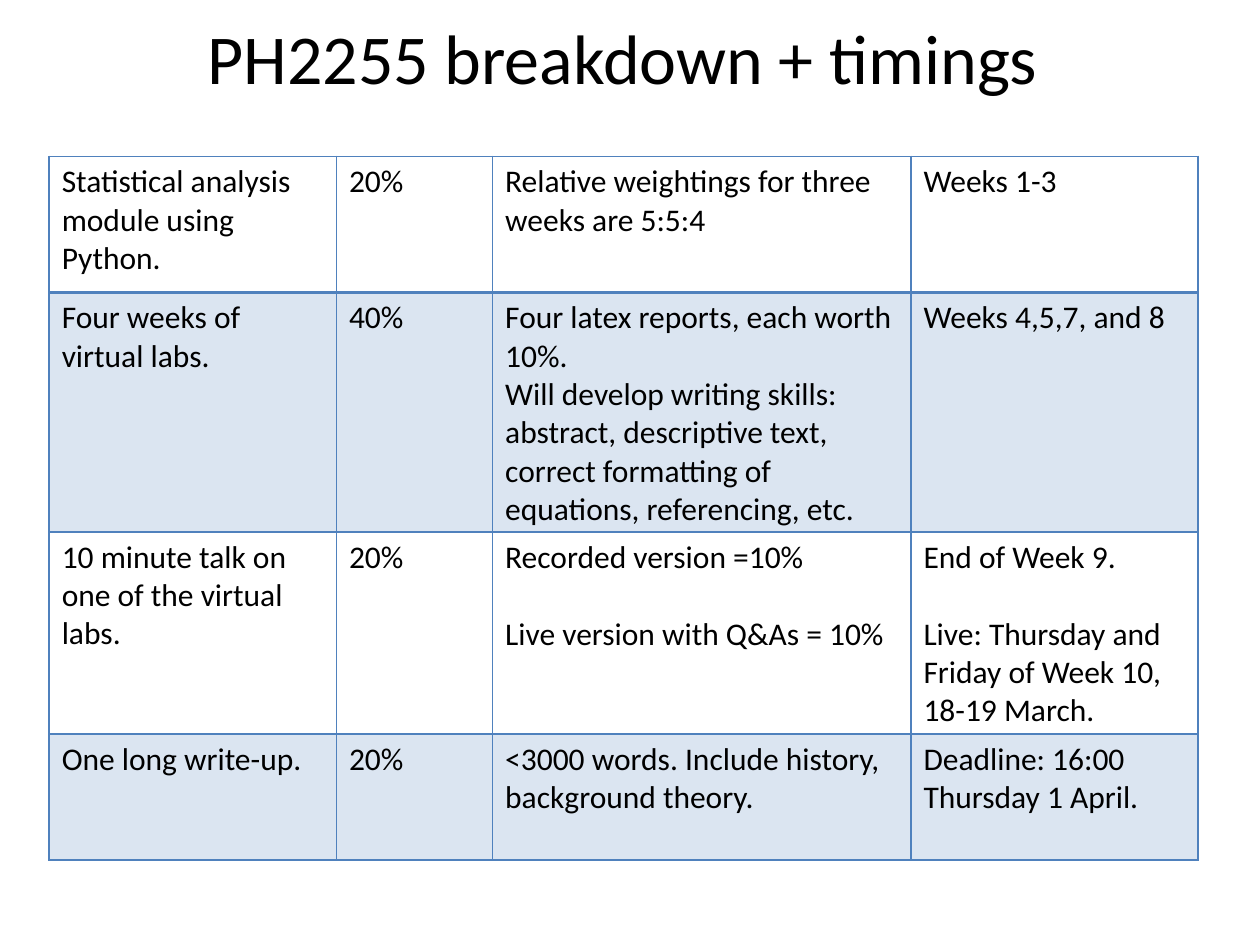
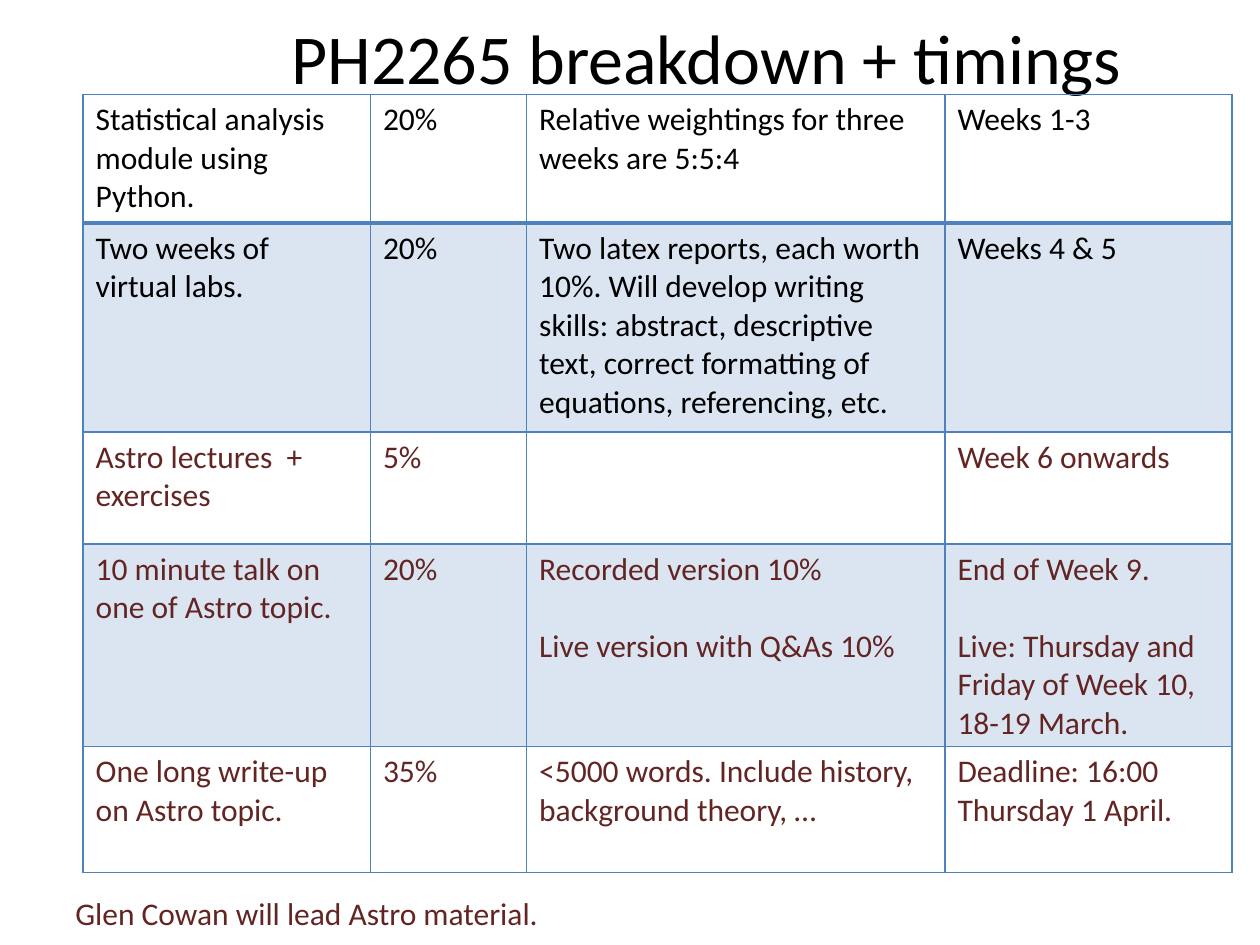
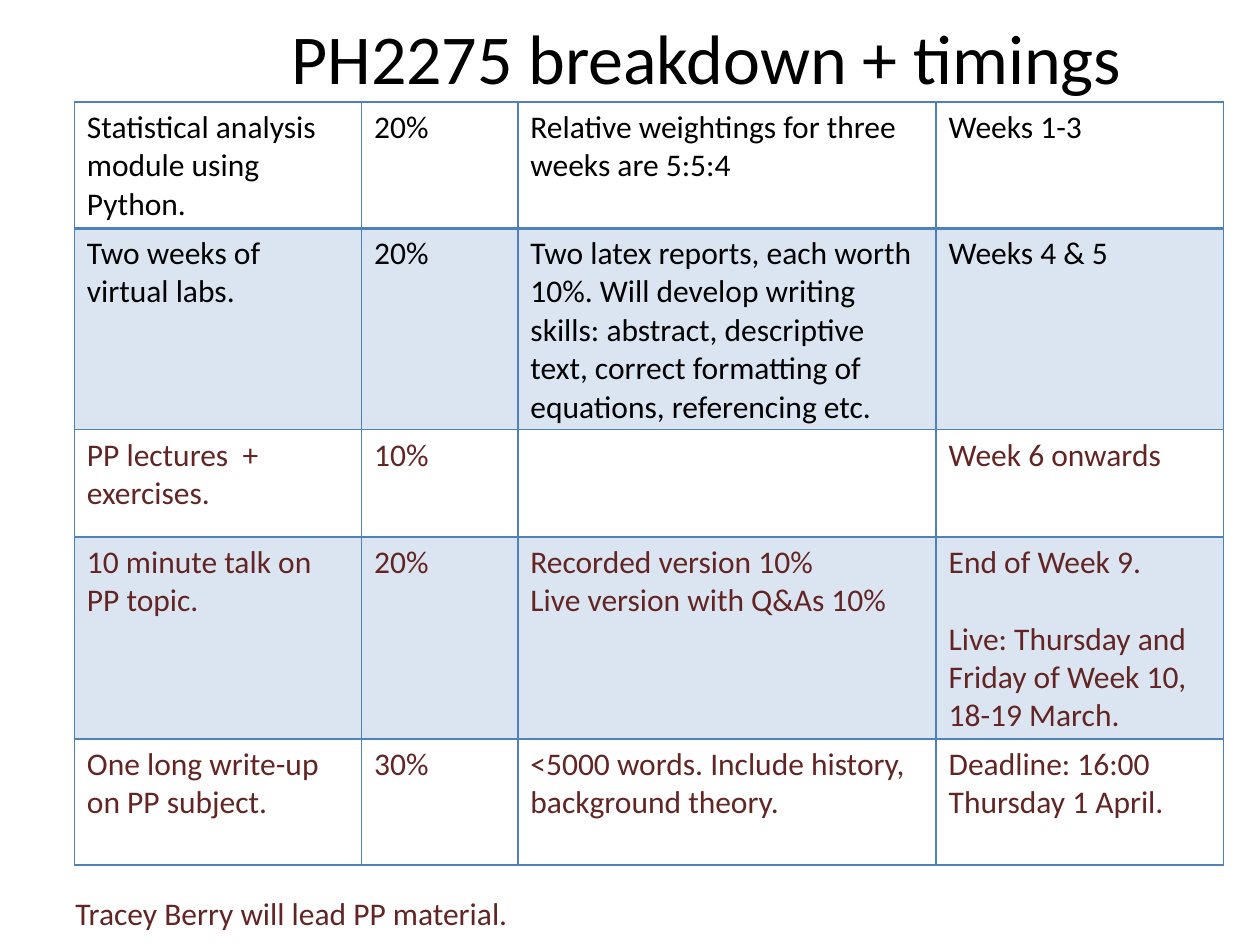
from lxml.etree import SubElement as Sub
from pptx import Presentation as Deck
from pptx.dml.color import RGBColor as RGB
from pptx.enum.text import MSO_AUTO_SIZE as Fit, PP_ALIGN as Align
from pptx.oxml.ns import qn
from pptx.util import Inches, Pt

FONT = "Calibri"
BLACK = RGB(0, 0, 0)
MAROON = RGB(0x63, 0x25, 0x23)
BLUE = RGB(0x4F, 0x81, 0xBD)
ALPHA = "20000"
TITLE = 40
BODY = 18
GAP = 22
THIN, THICK = 1, 2
COLS = (2.28, 1.24, 3.32, 2.28)

STATS = ("Statistical analysis\nmodule using Python.", "20%",
         "Relative weightings for three weeks are 5:5:4", "Weeks 1-3")
SKILLS = ("Will develop writing skills: abstract, descriptive text, "
          "correct formatting of equations, referencing")
LIVE = ("End of Week 9.\n\n"
        "Live: Thursday and Friday of Week 10, 18-19 March.")
DUE = "Deadline: 16:00 Thursday 1 April."

LABS = (
    STATS,
    ("Four weeks of virtual labs.", "40%",
     f"Four latex reports, each worth 10%.\n{SKILLS}, etc.",
     "Weeks 4,5,7, and 8"),
    ("10 minute talk on one of the virtual labs.", "20%",
     "Recorded version =10%\n\nLive version with Q&As = 10%", LIVE),
    ("One long write-up.", "20%",
     "<3000 words. Include history, background theory.", DUE),
)
ASTRO = (
    STATS,
    ("Two weeks of virtual labs.", "20%",
     f"Two latex reports, each worth 10%. {SKILLS}, etc.", "Weeks 4 & 5"),
    ("Astro lectures  + exercises", "5%", "", "Week 6 onwards"),
    ("10 minute talk on one of Astro topic.", "20%",
     "Recorded version 10%\n\nLive version with Q&As 10%", LIVE),
    ("One long write-up on Astro topic.", "35%",
     "<5000 words. Include history, background theory, …", DUE),
)
QUARK = (
    STATS,
    ("Two weeks of virtual labs.", "20%",
     f"Two latex reports, each worth 10%. {SKILLS} etc.", "Weeks 4 & 5"),
    ("PP lectures  + exercises.", "10%", "", "Week 6 onwards"),
    ("10 minute talk on PP topic.", "20%",
     "Recorded version 10%\nLive version with Q&As 10%", LIVE),
    ("One long write-up on PP subject.", "30%",
     "<5000 words. Include history, background theory.", DUE),
)


def style(par, size, color, align=Align.LEFT):
    par.alignment = align
    par.font.name = FONT
    par.font.size = Pt(size)
    par.font.color.rgb = color


def label(slide, text, box, size, color, align=Align.LEFT):
    frame = slide.shapes.add_textbox(*map(Inches, box)).text_frame
    frame.word_wrap = True
    frame.auto_size = Fit.SHAPE_TO_FIT_TEXT
    frame.text = text
    style(frame.paragraphs[0], size, color, align)


def title(slide, code, left, width):
    label(slide, f"{code} breakdown + timings ", (left, 0.07, width, 0.77),
          TITLE, BLACK, Align.CENTER)


def footer(slide, text):
    label(slide, text, (0.5, 7.05, 9, 0.4), BODY, MAROON)


def write(cell, text, color):
    frame = cell.text_frame
    frame.text = text.replace("\n\n", "\n")
    for par in frame.paragraphs:
        style(par, BODY, color)
    if "\n\n" in text:
        frame.paragraphs[1].space_before = Pt(GAP)


def border(cell, row):
    props = cell._tc.get_or_add_tcPr()
    widths = {
        "a:lnL": THIN,
        "a:lnR": THIN,
        "a:lnT": THICK if row == 1 else THIN,
        "a:lnB": THICK if row == 0 else THIN,
    }
    for tag, width in widths.items():
        line = Sub(props, qn(tag), w=str(Pt(width)))
        fill = Sub(line, qn("a:solidFill"))
        Sub(fill, qn("a:srgbClr"), val=str(BLUE))


def shade(cell, row):
    if row % 2 == 0:
        cell.fill.background()
        return
    cell.fill.solid()
    cell.fill.fore_color.rgb = BLUE
    tone = cell._tc.tcPr.find(qn("a:solidFill")).find(qn("a:srgbClr"))
    Sub(tone, qn("a:alpha"), val=ALPHA)


def grid(slide, left, top, highs, rows, shared):
    box = (left, top, sum(COLS), sum(highs))
    table = slide.shapes.add_table(
        len(rows), len(COLS), *map(Inches, box)).table
    table.first_row = False
    table.horz_banding = False
    for col, width in zip(table.columns, COLS):
        col.width = Inches(width)
    for row, texts in enumerate(rows):
        table.rows[row].height = Inches(highs[row])
        color = BLACK if row < shared else MAROON
        for col, text in enumerate(texts):
            cell = table.cell(row, col)
            write(cell, text, color)
            border(cell, row)
            shade(cell, row)


def main():
    deck = Deck()
    deck.slide_width, deck.slide_height = Inches(10), Inches(7.5)
    blank = deck.slide_layouts[6]

    slide = deck.slides.add_slide(blank)
    title(slide, "PH2255", 1.02, 7.97)
    grid(slide, 0.39, 1.24, (1.08, 1.9, 1.6, 1), LABS, shared=4)

    slide = deck.slides.add_slide(blank)
    title(slide, "PH2265", 2.01, 7.32)
    grid(slide, 0.66, 0.75, (1.02, 1.66, 0.89, 1.6, 1), ASTRO, shared=2)
    footer(slide, "Glen Cowan will lead Astro material.")

    slide = deck.slides.add_slide(blank)
    title(slide, "PH2275", 2.01, 7.32)
    grid(slide, 0.59, 0.81, (1, 1.6, 0.85, 1.6, 1), QUARK, shared=2)
    footer(slide, "Tracey Berry will lead PP material.")

    deck.save("out.pptx")


main()
